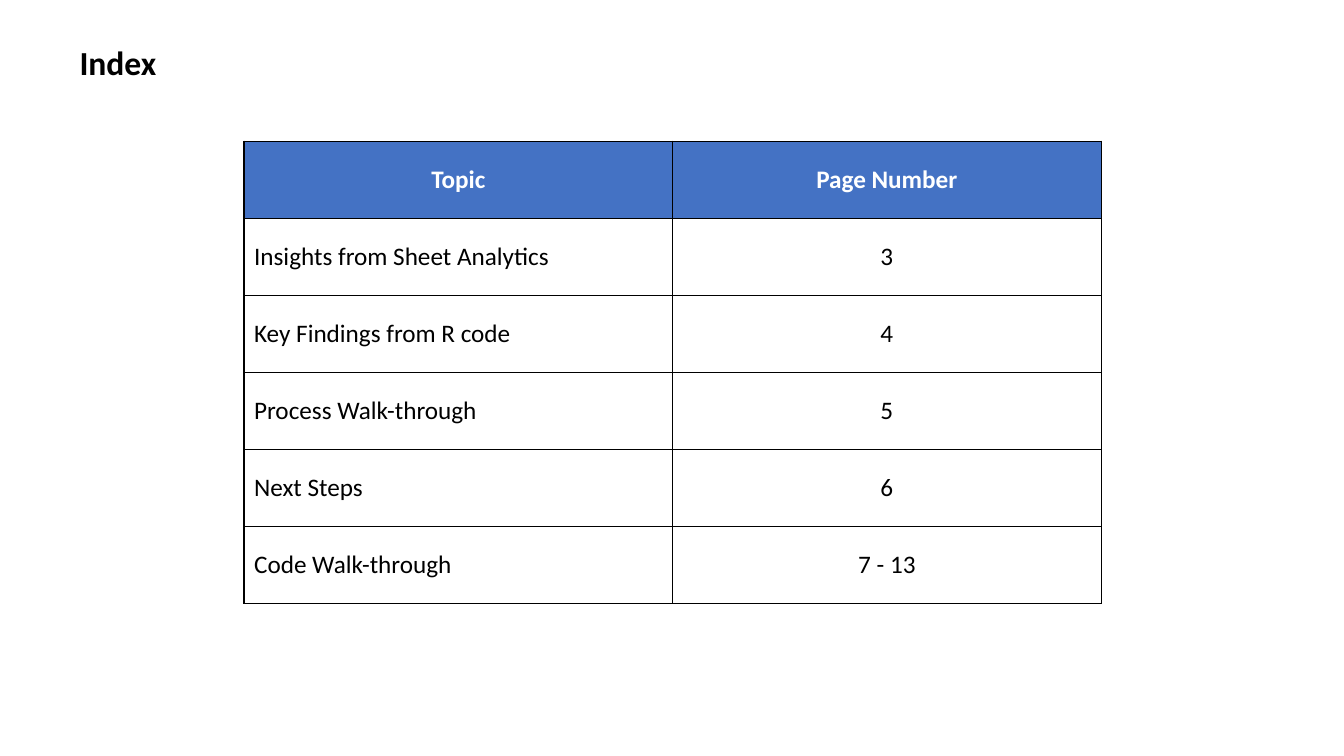
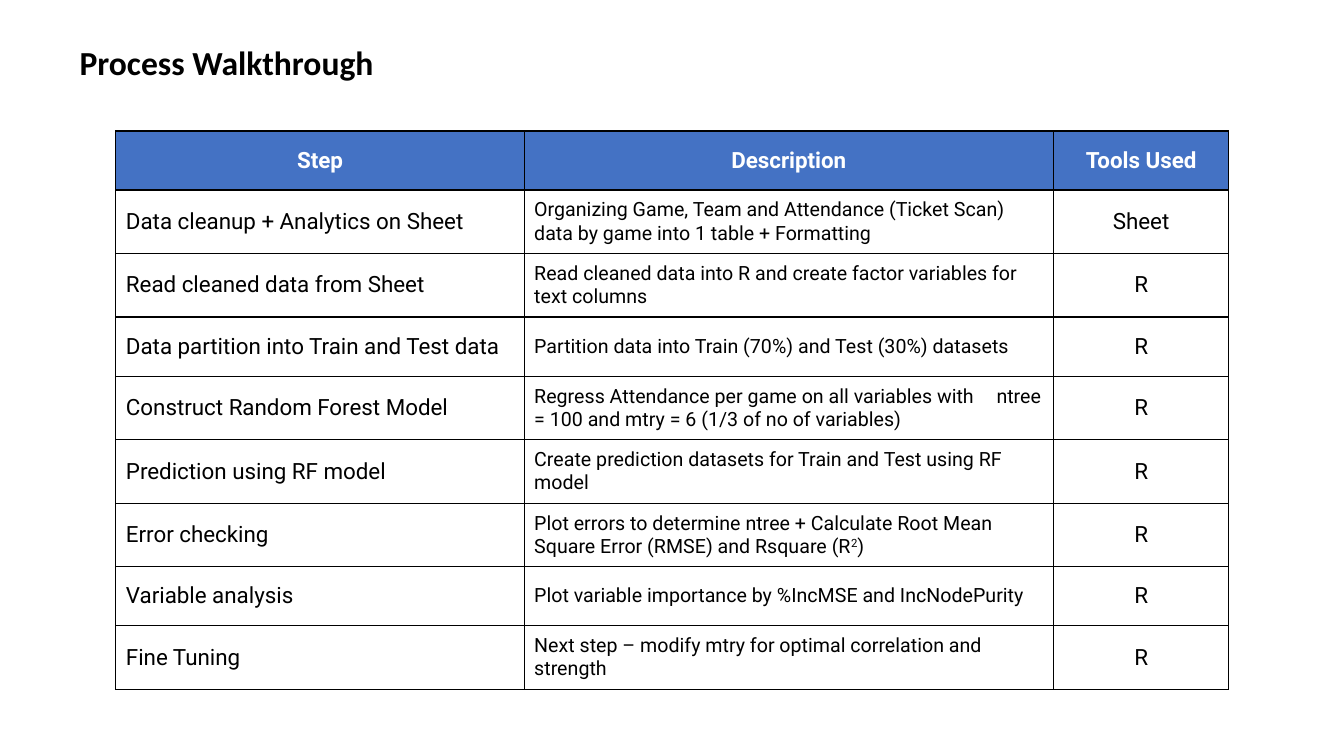
from lxml import etree
from pptx import Presentation
from pptx import util as u
from pptx.dml.color import RGBColor
from pptx.enum import text
from pptx.oxml import ns

BLUE, BLACK, WHITE = "4472C4", "000000", "FFFFFF"
L, C = text.PP_ALIGN.LEFT, text.PP_ALIGN.CENTER
TAB_STOP = u.Cm(11.65)

INDEX = [
    ("Topic", "Page Number"),
    ("Insights from Sheet Analytics", "3"),
    ("Key Findings from R code", "4"),
    ("Process Walk-through", "5"),
    ("Next Steps", "6"),
    ("Code Walk-through", "7 - 13"),
]
# A "^" on either side marks superscript
PROCESS = [
    ("Step", "Description", "Tools Used"),
    ("Data cleanup + Analytics on Sheet",
     "Organizing Game, Team and Attendance (Ticket Scan) data by game into 1 table + Formatting",
     "Sheet"),
    ("Read cleaned data from Sheet",
     "Read cleaned data into R and create factor variables for text columns", "R"),
    ("Data partition into Train and Test data",
     "Partition data into Train (70%) and Test (30%) datasets", "R"),
    ("Construct Random Forest Model",
     "Regress Attendance per game on all variables with\tntree = 100 and mtry = 6 "
     "(1/3 of no of variables)", "R"),
    ("Prediction using RF model",
     "Create prediction datasets for Train and Test using RF model", "R"),
    ("Error checking",
     "Plot errors to determine ntree + Calculate Root Mean Square Error (RMSE) "
     "and Rsquare (R^2^)", "R"),
    ("Variable analysis", "Plot variable importance by %IncMSE and IncNodePurity", "R"),
    ("Fine Tuning", "Next step – modify mtry for optimal correlation and strength", "R"),
]


def rgb(color):
    return RGBColor.from_string(color)


def set_font(font, name, size, color, bold=False):
    font.name, font.size, font.bold = name, u.Pt(size), bold
    font.color.rgb = rgb(color)


def add_border(cell):
    tcPr = cell._tc.get_or_add_tcPr()
    for side in ("a:lnL", "a:lnR", "a:lnT", "a:lnB"):
        ln = etree.SubElement(tcPr, ns.qn(side), w=str(u.Pt(1)))
        fill = etree.SubElement(ln, ns.qn("a:solidFill"))
        etree.SubElement(fill, ns.qn("a:srgbClr"), val=BLACK)


def add_tab_stop(p):
    tabs = etree.SubElement(p._p.get_or_add_pPr(), ns.qn("a:tabLst"))
    etree.SubElement(tabs, ns.qn("a:tab"), pos=str(TAB_STOP), algn="l")


def fill_cell(cell, words, font_name, size, align, header):
    add_border(cell)
    if header:
        cell.fill.solid()
        cell.fill.fore_color.rgb = rgb(BLUE)
    else:
        cell.fill.background()
    cell.vertical_anchor = text.MSO_ANCHOR.MIDDLE
    p = cell.text_frame.paragraphs[0]
    p.alignment = align
    if "\t" in words:
        add_tab_stop(p)
    set_font(p.font, font_name, size, WHITE if header else BLACK, header)
    for i, part in enumerate(words.split("^")):
        r = p.add_run()
        r.text = part
        if i % 2:
            r.font._element.set("baseline", "30000")


def add_grid(s, left, top, rows, heights, columns, font_name, header_size):
    """Each column is (width, text size, alignment)."""
    width = sum(column[0] for column in columns)
    table = s.shapes.add_table(len(rows), len(columns), u.Cm(left), u.Cm(top),
                               u.Cm(width), u.Cm(sum(heights))).table
    table.first_row = table.horz_banding = False
    for col, (w, _, _) in zip(table.columns, columns):
        col.width = u.Cm(w)
    for i, (row, height) in enumerate(zip(rows, heights)):
        table.rows[i].height = u.Cm(height)
        for j, (_, size, align) in enumerate(columns):
            header = i == 0
            fill_cell(table.cell(i, j), row[j], font_name,
                      header_size if header else size, C if header else align, header)


def add_titled_slide(prs, title, width):
    s = prs.slides.add_slide(prs.slide_layouts[5])
    sp = s.shapes.title
    sp.left, sp.top, sp.width, sp.height = (u.Cm(v) for v in (1.75, 0.94, width, 1.27))
    tf = sp.text_frame
    tf.text = title
    tf.word_wrap = True
    tf.auto_size = text.MSO_AUTO_SIZE.NONE
    tf.vertical_anchor = text.MSO_ANCHOR.TOP
    p = tf.paragraphs[0]
    p.alignment = L
    set_font(p.font, "Calibri", 24, BLACK, True)
    return s


def index_slide(prs):
    s = add_titled_slide(prs, "Index", 13.61)
    add_grid(s, 6.15, 3.56, INDEX, [1.94] * len(INDEX),
             [(10.8, 18, L), (10.8, 18, C)], "Calibri", 18)


def process_slide(prs):
    s = add_titled_slide(prs, "Process Walkthrough", 17.37)
    # Rows with a one-line description are slightly lower
    heights = [1.49 if len(row[1]) < 56 else 1.6 for row in PROCESS]
    add_grid(s, 2.92, 3.3, PROCESS, heights,
             [(10.29, 16, L), (13.34, 14, L), (4.42, 16, C)], "Roboto", 16)


def main():
    prs = Presentation()
    prs.slide_width, prs.slide_height = u.Cm(33.87), u.Cm(19.05)
    index_slide(prs)
    process_slide(prs)
    prs.save("out.pptx")


if __name__ == "__main__":
    main()
